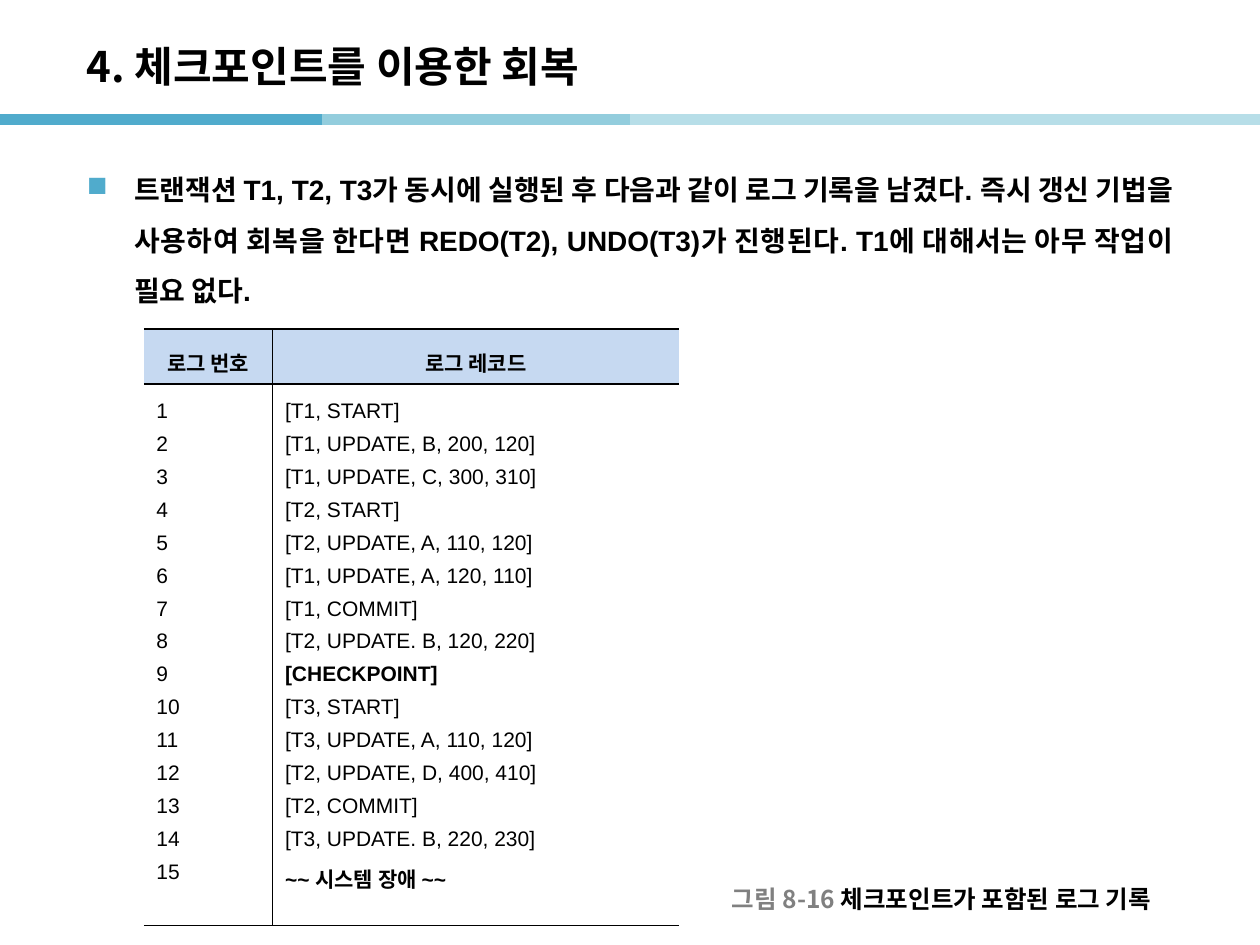
from dataclasses import dataclass

from lxml import etree
from pptx import Presentation
from pptx.dml.color import RGBColor
from pptx.enum.shapes import MSO_CONNECTOR
from pptx.enum.text import MSO_ANCHOR, PP_ALIGN
from pptx.oxml.ns import qn
from pptx.util import Pt

STRAIGHT = MSO_CONNECTOR.STRAIGHT
MIDDLE, TOP = MSO_ANCHOR.MIDDLE, MSO_ANCHOR.TOP
LEFT, CENTER, JUSTIFY = PP_ALIGN.LEFT, PP_ALIGN.CENTER, PP_ALIGN.JUSTIFY

COLORS = {
    "text": "000000",
    "muted": "808080",
    "accent": "50ABCC",
    "accent_mid": "93CDDD",
    "accent_light": "B7DEE8",
    "header": "C6D9F1",
    "body": "FFFFFF",
}
LATIN, HANGUL = "Arial", "Noto Sans CJK KR"


@dataclass
class Band:
    start: float
    color: str


@dataclass
class TextRun:
    text: str
    size: float
    bold: bool = True
    color: str = "text"
    font: str = HANGUL


BAND_Y, BAND_LENGTH = 68.4, 184.3
BANDS = [
    Band(0, "accent"),
    Band(184.3, "accent_mid"),
    Band(360, "accent_light"),
    Band(537.1, "accent_light"),
]
LOG_RECORDS = [
    "[T1, START]",
    "[T1, UPDATE, B, 200, 120]",
    "[T1, UPDATE, C, 300, 310]",
    "[T2, START]",
    "[T2, UPDATE, A, 110, 120]",
    "[T1, UPDATE, A, 120, 110]",
    "[T1, COMMIT]",
    "[T2, UPDATE. B, 120, 220]",
    "[CHECKPOINT]",
    "[T3, START]",
    "[T3, UPDATE, A, 110, 120]",
    "[T2, UPDATE, D, 400, 410]",
    "[T2, COMMIT]",
    "[T3, UPDATE. B, 220, 230]",
    "~~ 시스템 장애 ~~",
]
BOLD_RECORDS = {"[CHECKPOINT]", "~~ 시스템 장애 ~~"}


def rgb(color: str) -> RGBColor:
    return RGBColor.from_string(COLORS[color])


def add_run(paragraph, item: TextRun) -> None:
    run = paragraph.add_run()
    run.text = item.text
    font = run.font
    font.size, font.bold, font.name = Pt(item.size), item.bold, item.font
    font.color.rgb = rgb(item.color)
    etree.SubElement(run._r.get_or_add_rPr(), qn("a:ea"), typeface=HANGUL)


def add_band(slide, band: Band) -> None:
    line = slide.shapes.add_connector(
        STRAIGHT, Pt(band.start), Pt(BAND_Y), Pt(band.start + BAND_LENGTH), Pt(BAND_Y)
    )
    line.line.width = Pt(6)
    line.line.color.rgb = rgb(band.color)
    etree.SubElement(line._element.spPr, qn("a:effectLst"))


def add_text(slide, left: float, top: float, width: float, height: float,
             runs: list[TextRun], anchor=MIDDLE, wrap: bool = True):
    """Add a one-paragraph text box and return its paragraph."""
    frame = slide.shapes.add_textbox(Pt(left), Pt(top), Pt(width), Pt(height)).text_frame
    frame.word_wrap, frame.vertical_anchor = wrap, anchor
    paragraph = frame.paragraphs[0]
    for item in runs:
        add_run(paragraph, item)
    return paragraph


def add_square_bullet(paragraph, indent: float) -> None:
    properties = paragraph._p.get_or_add_pPr()
    properties.set("marL", str(Pt(indent)))
    properties.set("indent", str(-Pt(indent)))
    color = etree.SubElement(properties, qn("a:buClr"))
    etree.SubElement(color, qn("a:srgbClr"), val=COLORS["accent"])
    etree.SubElement(properties, qn("a:buChar"), char="■")


def set_borders(cell, sides: str) -> None:
    """Draw the named sides (from L, R, T, B) and clear the others."""
    properties = cell._tc.get_or_add_tcPr()
    for side in "LRTB":
        line = etree.SubElement(properties, qn(f"a:ln{side}"), w=str(Pt(1)))
        if side in sides:
            fill = etree.SubElement(line, qn("a:solidFill"))
            etree.SubElement(fill, qn("a:srgbClr"), val=COLORS["text"])
        else:
            etree.SubElement(line, qn("a:noFill"))


def fill_cell(cell, runs: list[TextRun], fill: str, borders: str, alignment, anchor) -> None:
    set_borders(cell, borders)
    cell.fill.solid()
    cell.fill.fore_color.rgb = rgb(fill)
    cell.vertical_anchor = anchor
    frame = cell.text_frame
    for index, item in enumerate(runs):
        paragraph = frame.add_paragraph() if index else frame.paragraphs[0]
        paragraph.alignment, paragraph.line_spacing = alignment, 1.4
        add_run(paragraph, item)


def add_log_table(slide) -> None:
    widths, heights = (73.5, 232.5), (31.4, 294.9)
    table = slide.shapes.add_table(
        2, 2, Pt(82.2), Pt(188), Pt(sum(widths)), Pt(sum(heights))
    ).table
    table.first_row = table.horz_banding = False
    for column, width in zip(table.columns, widths):
        column.width = Pt(width)
    for row, height in zip(table.rows, heights):
        row.height = Pt(height)
    numbers = [str(number) for number in range(1, len(LOG_RECORDS) + 1)]
    contents = [("로그 번호", numbers, "RTB"), ("로그 레코드", LOG_RECORDS, "LTB")]
    for index, (heading, entries, borders) in enumerate(contents):
        title = [TextRun(heading, 12, font=LATIN)]
        fill_cell(table.cell(0, index), title, "header", borders, CENTER, MIDDLE)
        runs = [TextRun(entry, 12, entry in BOLD_RECORDS, font=LATIN) for entry in entries]
        fill_cell(table.cell(1, index), runs, "body", borders, LEFT, TOP)


def main() -> None:
    presentation = Presentation()
    presentation.slide_width, presentation.slide_height = Pt(720), Pt(540)
    slide = presentation.slides.add_slide(presentation.slide_layouts[6])

    for band in BANDS:
        add_band(slide, band)
    add_text(slide, 42.5, 15.8, 595.4, 43.2, [TextRun("4. 체크포인트를 이용한 회복", 24)])

    summary = (
        "트랜잭션 T1, T2, T3가 동시에 실행된 후 다음과 같이 로그 기록을 남겼다. "
        "즉시 갱신 기법을 사용하여 회복을 한다면 REDO(T2), UNDO(T3)가 진행된다. "
        "T1에 대해서는 아무 작업이 필요 없다."
    )
    paragraph = add_text(slide, 42.5, 85.7, 635, 430.6, [TextRun(summary, 16, font=LATIN)], TOP)
    paragraph.alignment, paragraph.line_spacing = JUSTIFY, 1.5
    add_square_bullet(paragraph, 27)

    add_log_table(slide)
    caption = [
        TextRun("그림 8-16 ", 14, color="muted"),
        TextRun("체크포인트가 포함된 로그 기록", 14),
    ]
    add_text(slide, 411.1, 502.6, 263, 22.3, caption, wrap=False).alignment = LEFT
    presentation.save("out.pptx")


if __name__ == "__main__":
    main()
